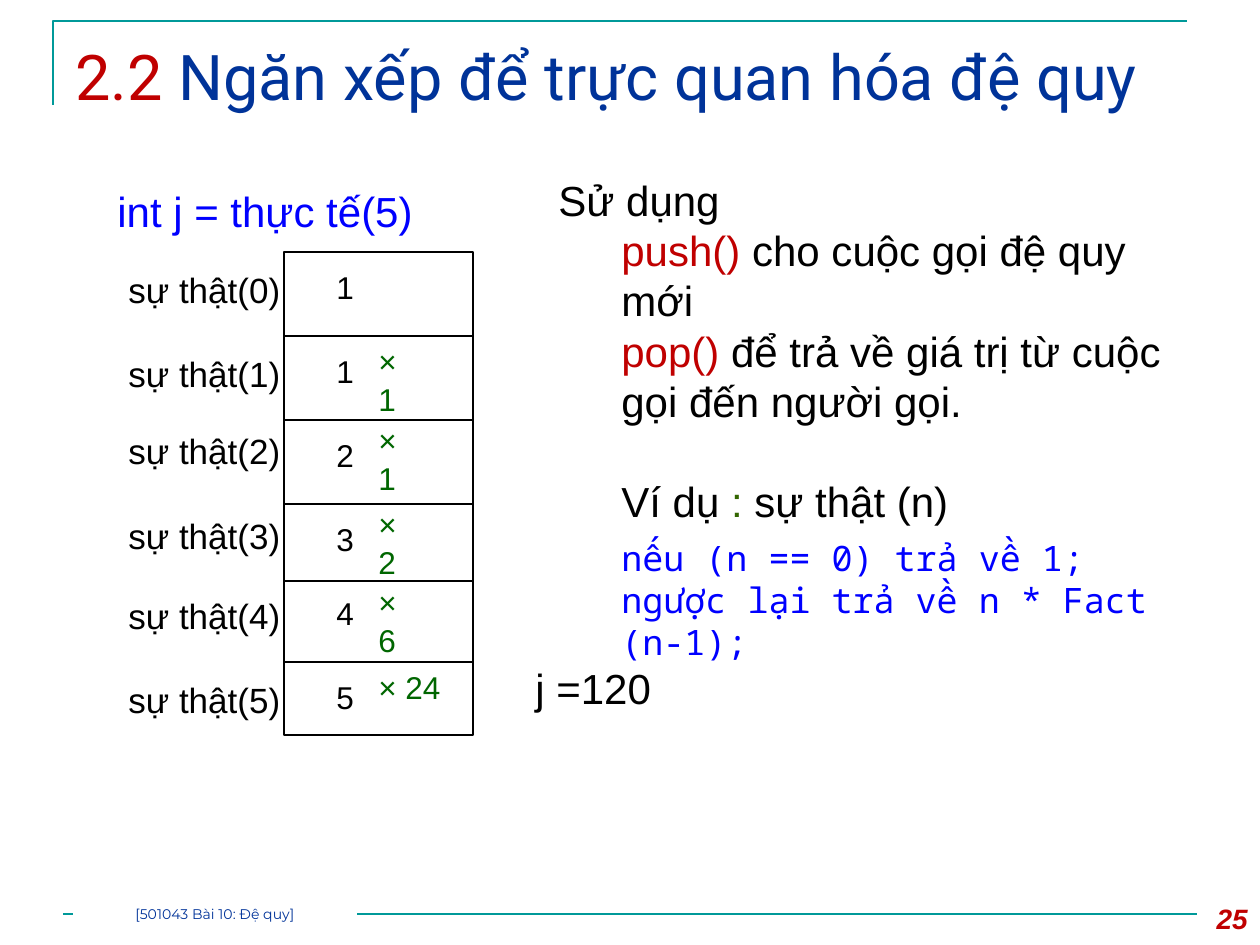
from dataclasses import dataclass
from lxml.etree import SubElement
from pptx import Presentation
from pptx.dml.color import RGBColor
from pptx.enum.shapes import MSO_CONNECTOR, MSO_SHAPE
from pptx.enum.text import MSO_ANCHOR, PP_ALIGN
from pptx.oxml.ns import qn
from pptx.util import Pt

SCALE = 914400 / 126


@dataclass(frozen=True)
class Theme:
    black: str = "000000"
    white: str = "FFFFFF"
    blue: str = "0000FF"
    navy: str = "003399"
    red: str = "C00000"
    green: str = "006600"
    olive: str = "336600"
    teal: str = "009999"
    sans: str = "Arial"
    head: str = "Roboto"
    mono: str = "Noto Sans Mono"
    foot: str = "Montserrat"
    title: int = 36
    body: int = 24
    label: int = 20
    cell: int = 18
    page: int = 16
    small: int = 8


T = Theme()


def px(n):
    return round(n * SCALE)


def rgb(code):
    return RGBColor.from_string(code)


def style(par, size, color, face=T.sans):
    par.font.size = Pt(size)
    par.font.name = face
    par.font.color.rgb = rgb(color)


def write(par, runs, size, face=T.sans):
    par.font.size = Pt(size)
    par.font.name = face
    for text, color in runs:
        run = par.add_run()
        run.text = text
        run.font.color.rgb = rgb(color)


def add_box(slide, x, y, w, h):
    frame = slide.shapes.add_textbox(px(x), px(y), px(w), px(h)).text_frame
    frame.word_wrap = True
    return frame


def add_text(slide, text, x, y, w, h, size, color):
    par = add_box(slide, x, y, w, h).paragraphs[0]
    par.text = text
    style(par, size, color)
    return par


def add_line(slide, x1, y1, x2, y2, color, width):
    line = slide.shapes.add_connector(
        MSO_CONNECTOR.STRAIGHT, px(x1), px(y1), px(x2), px(y2))
    line.line.color.rgb = rgb(color)
    line.line.width = Pt(width)
    SubElement(line._element.spPr, qn("a:effectLst"))


def add_rect(slide, x, y, w, h):
    rect = slide.shapes.add_shape(
        MSO_SHAPE.RECTANGLE, px(x), px(y), px(w), px(h))
    rect.shadow.inherit = False
    return rect


def add_frame(slide):
    path = slide.shapes.build_freeform(53, 105, scale=SCALE)
    path.add_line_segments([(53, 21), (1187, 21)], close=False)
    edge = path.convert_to_shape()
    edge.shadow.inherit = False
    edge.fill.background()
    edge.line.color.rgb = rgb(T.teal)
    edge.line.width = Pt(1.5)
    add_line(slide, 63, 914, 1197, 914, T.teal, 1.5)


def add_title(slide):
    frame = add_box(slide, 63, 31, 1134, 108)
    runs = [("2.2 ", T.red), ("Ngăn xếp để trực quan hóa đệ quy", T.navy)]
    write(frame.paragraphs[0], runs, T.title, T.head)


def add_foot(slide):
    rect = add_rect(slide, 73, 903, 284, 21)
    rect.fill.solid()
    rect.fill.fore_color.rgb = rgb(T.white)
    rect.line.fill.background()
    frame = rect.text_frame
    frame.margin_left = frame.margin_right = 0
    frame.margin_top = frame.margin_bottom = 0
    frame.vertical_anchor = MSO_ANCHOR.MIDDLE
    par = frame.paragraphs[0]
    par.text = "[501043 Bài 10: Đệ quy]"
    par.alignment = PP_ALIGN.CENTER
    style(par, T.small, T.navy, T.foot)
    page = add_text(slide, "25", 1176, 895, 84, 50, T.page, T.red)
    page.alignment = PP_ALIGN.RIGHT
    page.font.bold = page.font.italic = True


def add_stack(slide):
    rect = add_rect(slide, 284, 252, 189, 483)
    rect.fill.background()
    rect.line.color.rgb = rgb(T.black)
    rect.line.width = Pt(0.75)
    for y in (336, 420, 504, 581, 662):
        add_line(slide, 284, y, 473, y, T.black, 0.75)
    rows = [
        (262, 262, "1", None, None),
        (346, 346, "1", 336, "× 1"),
        (423, 430, "2", 415, "× 1"),
        (508, 514, "3", 499, "× 2"),
        (588, 588, "4", 577, "× 6"),
        (672, 672, "5", 662, "× 24"),
    ]
    for n, (top, mid, num, high, prod) in enumerate(rows):
        add_text(slide, f"sự thật({n})", 116, top, 179, 55, T.label, T.black)
        add_text(slide, num, 324, mid, 49, 63, T.cell, T.black)
        if prod:
            wide = 69 if len(prod) == 3 else 90
            add_text(slide, prod, 366, high, wide, 50, T.cell, T.green)
    add_text(slide, "int j = thực tế(5)", 105, 179, 378, 63, T.body, T.blue)
    add_text(slide, "j =120", 523, 656, 142, 63, T.body, T.black)


def add_notes(slide):
    frame = add_box(slide, 546, 168, 662, 451)
    body = (T.body, T.sans)
    code = (T.label, T.mono)
    rows = [
        (0, 0, 0, body, [("Sử dụng", T.black)]),
        (63, 0, 0, body, [("push() ", T.red),
                          ("cho cuộc gọi đệ quy mới", T.black)]),
        (63, 0, 0, body, [
            ("pop() ", T.red),
            ("để trả về giá trị từ cuộc gọi đến người gọi.", T.black)]),
        (63, 28, 6, body, [("Ví dụ ", T.black), (": ", T.olive),
                           ("sự thật (n)", T.black)]),
        (63, 0, 0, code, [("nếu (n == 0) trả về 1;", T.blue)]),
        (63, 0, 0, code, [("ngược lại trả về n * Fact (n-1);", T.blue)]),
    ]
    for n, (left, gap, after, kind, runs) in enumerate(rows):
        par = frame.add_paragraph() if n else frame.paragraphs[0]
        par.space_before = Pt(gap)
        par.space_after = Pt(after)
        prop = par._p.get_or_add_pPr()
        prop.set("marL", str(px(left)))
        prop.set("indent", "0")
        write(par, runs, *kind)


def main():
    deck = Presentation()
    deck.slide_width = px(1260)
    deck.slide_height = px(945)
    slide = deck.slides.add_slide(deck.slide_layouts[6])
    add_frame(slide)
    add_title(slide)
    add_stack(slide)
    add_notes(slide)
    add_foot(slide)
    deck.save("out.pptx")


if __name__ == "__main__":
    main()
